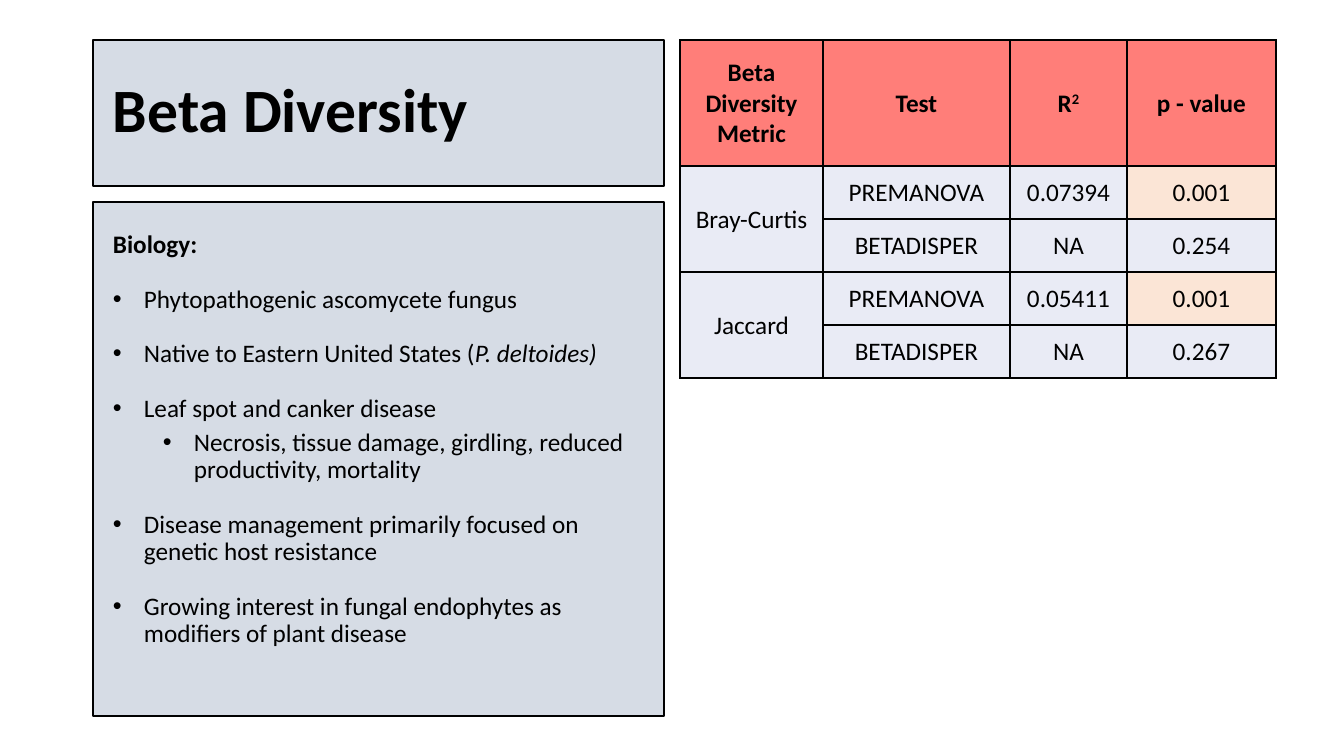
from dataclasses import dataclass

import lxml.etree
import pptx
import pptx.dml.color
import pptx.enum.shapes
import pptx.enum.text
import pptx.oxml.ns
import pptx.util

PX = 914400 / 100.8
FONT = "Calibri"
BLACK = pptx.dml.color.RGBColor(0x00, 0x00, 0x00)
PANEL_GREY = pptx.dml.color.RGBColor(0xD6, 0xDC, 0xE5)
HEADER_RED = pptx.dml.color.RGBColor(0xFF, 0x7E, 0x79)
CELL_BLUE = pptx.dml.color.RGBColor(0xE9, 0xEB, 0xF5)
SIGNIFICANT_PEACH = pptx.dml.color.RGBColor(0xFB, 0xE5, 0xD6)
MIDDLE = pptx.enum.text.MSO_ANCHOR.MIDDLE
TOP = pptx.enum.text.MSO_ANCHOR.TOP
CENTER = pptx.enum.text.PP_ALIGN.CENTER
LEFT = pptx.enum.text.PP_ALIGN.LEFT


@dataclass
class Line:
    text: str
    size: int = 18
    bold: bool = False
    italic_tail: str = ""
    bullet: bool = True
    level: int = 0
    space_before: float = 19.5


@dataclass
class Panel:
    top: int
    height: int
    insets: tuple[int, int, int, int]
    anchor: pptx.enum.text.MSO_ANCHOR
    lines: list[Line]


PANELS = [
    Panel(40, 146, (20, 5, 20, 5), MIDDLE,
          [Line("Beta Diversity", size=44, bold=True, bullet=False, space_before=0)]),
    Panel(202, 514, (20, 30, 10, 10), TOP, [
        Line("Biology:", bold=True, bullet=False, space_before=0),
        Line("Phytopathogenic ascomycete fungus"),
        Line("Native to Eastern United States (", italic_tail="P. deltoides)"),
        Line("Leaf spot and canker disease"),
        Line("Necrosis, tissue damage, girdling, reduced productivity, mortality",
             level=1, space_before=5),
        Line("Disease management primarily focused on genetic host resistance"),
        Line("Growing interest in fungal endophytes as modifiers of plant disease"),
    ]),
]
PANEL_LEFT, PANEL_WIDTH = 93, 571
BULLET_HANG, LEVEL_STEP = 31, 50

TABLE_LEFT, TABLE_TOP = 680, 40
COLUMN_WIDTHS = [143, 187, 117, 149]
ROW_HEIGHTS = [126, 53, 53, 53, 53]
RESULTS = [
    ["Beta Diversity Metric", "Test", "R", "p - value"],
    ["Bray-Curtis", "PREMANOVA", "0.07394", "0.001"],
    ["", "BETADISPER", "NA", "0.254"],
    ["Jaccard", "PREMANOVA", "0.05411", "0.001"],
    ["", "BETADISPER", "NA", "0.267"],
]


def px(length: int) -> pptx.util.Emu:
    return pptx.util.Emu(round(length * PX))


def style_font(font: pptx.text.text.Font, size: int, bold: bool) -> None:
    font.name = FONT
    font.size = pptx.util.Pt(size)
    font.bold = bold
    font.color.rgb = BLACK


def add_line(paragraph: pptx.text.text._Paragraph, line: Line) -> None:
    paragraph.alignment = LEFT
    paragraph.level = line.level
    paragraph.line_spacing = 0.9
    paragraph.space_before = pptx.util.Pt(line.space_before)
    if line.bullet:
        properties = paragraph._p.get_or_add_pPr()
        properties.set("marL", str(px(BULLET_HANG + line.level * LEVEL_STEP)))
        properties.set("indent", str(-px(BULLET_HANG)))
        for tag, name, value in (("a:buFont", "typeface", "Arial"), ("a:buChar", "char", "•")):
            lxml.etree.SubElement(properties, pptx.oxml.ns.qn(tag)).set(name, value)
    style_font(paragraph.font, line.size, line.bold)
    paragraph.add_run().text = line.text
    if line.italic_tail:
        species = paragraph.add_run()
        species.text = line.italic_tail
        species.font.italic = True


def add_panel(slide: pptx.slide.Slide, panel: Panel) -> None:
    box = slide.shapes.add_shape(
        pptx.enum.shapes.MSO_SHAPE.RECTANGLE,
        px(PANEL_LEFT), px(panel.top), px(PANEL_WIDTH), px(panel.height))
    box.shadow.inherit = False
    box.fill.solid()
    box.fill.fore_color.rgb = PANEL_GREY
    box.line.color.rgb = BLACK
    box.line.width = pptx.util.Pt(1)
    frame = box.text_frame
    frame.word_wrap = True
    frame.vertical_anchor = panel.anchor
    frame.margin_left, frame.margin_top, frame.margin_right, frame.margin_bottom = map(
        px, panel.insets)
    for index, line in enumerate(panel.lines):
        add_line(frame.add_paragraph() if index else frame.paragraphs[0], line)


def add_borders(cell: pptx.table._Cell) -> None:
    properties = cell._tc.get_or_add_tcPr()
    for side in ("a:lnL", "a:lnR", "a:lnT", "a:lnB"):
        border = lxml.etree.SubElement(properties, pptx.oxml.ns.qn(side), w="12700")
        fill = lxml.etree.SubElement(border, pptx.oxml.ns.qn("a:solidFill"))
        lxml.etree.SubElement(fill, pptx.oxml.ns.qn("a:srgbClr"), val=str(BLACK))


def fill_cell(cell: pptx.table._Cell, text: str, header: bool) -> None:
    add_borders(cell)
    cell.fill.solid()
    body_color = SIGNIFICANT_PEACH if text == "0.001" else CELL_BLUE
    cell.fill.fore_color.rgb = HEADER_RED if header else body_color
    cell.vertical_anchor = MIDDLE
    cell.margin_left = cell.margin_top = cell.margin_right = px(1)
    cell.margin_bottom = 0
    paragraph = cell.text_frame.paragraphs[0]
    paragraph.alignment = CENTER
    style_font(paragraph.font, 18, header)
    if text:
        paragraph.add_run().text = text
    if text == "R":
        exponent = paragraph.add_run()
        exponent.text = "2"
        exponent._r.get_or_add_rPr().set("baseline", "30000")


def add_results(slide: pptx.slide.Slide) -> None:
    table = slide.shapes.add_table(
        len(ROW_HEIGHTS), len(COLUMN_WIDTHS), px(TABLE_LEFT), px(TABLE_TOP),
        px(sum(COLUMN_WIDTHS)), px(sum(ROW_HEIGHTS))).table
    table.first_row = table.horz_banding = False
    for column, width in zip(table.columns, COLUMN_WIDTHS):
        column.width = px(width)
    for row, height in zip(table.rows, ROW_HEIGHTS):
        row.height = px(height)
    for row_index, texts in enumerate(RESULTS):
        for column_index, text in enumerate(texts):
            fill_cell(table.cell(row_index, column_index), text, row_index == 0)
    for metric_row in (1, 3):
        table.cell(metric_row, 0).merge(table.cell(metric_row + 1, 0))


def main() -> None:
    presentation = pptx.Presentation()
    presentation.slide_width = px(1344)
    presentation.slide_height = px(756)
    slide = presentation.slides.add_slide(presentation.slide_layouts[6])
    for panel in PANELS:
        add_panel(slide, panel)
    add_results(slide)
    presentation.save("out.pptx")


if __name__ == "__main__":
    main()
